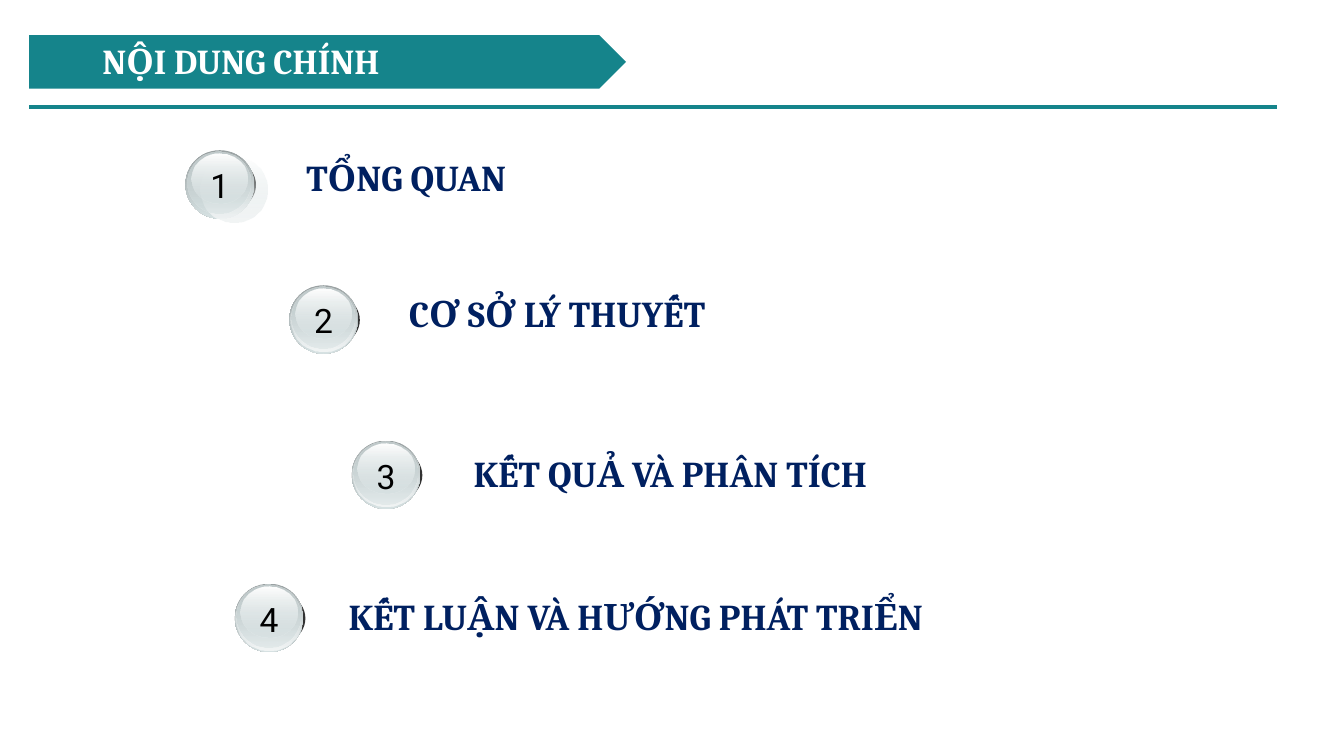
from dataclasses import dataclass

from lxml import etree
from pptx import Presentation
from pptx.dml.color import RGBColor
from pptx.enum.shapes import MSO_CONNECTOR, MSO_SHAPE
from pptx.enum.text import MSO_ANCHOR, MSO_AUTO_SIZE, PP_ALIGN
from pptx.oxml.ns import qn
from pptx.shapes.base import BaseShape
from pptx.shapes.group import GroupShape
from pptx.slide import Slide
from pptx.text.text import TextFrame
from pptx.util import Inches, Length, Pt

ELLIPSE = MSO_SHAPE.OVAL
PENTAGON = MSO_SHAPE.PENTAGON
STRAIGHT = MSO_CONNECTOR.STRAIGHT
LEFT, CENTER = PP_ALIGN.LEFT, PP_ALIGN.CENTER
TOP = MSO_ANCHOR.TOP
NO_AUTO_SIZE = MSO_AUTO_SIZE.NONE

TITLE_ONLY = 5
CELL = Inches(0.1)  # side of one square of the layout grid
MARGIN = 2.9
COLORS = {
    "teal": "15848B",
    "navy": "002060",
    "white": "FFFFFF",
    "black": "000000",
    "rim": "333333",
    "steel": "99A1A2",
    "silver": "C1CBCC",
    "mist": "D6E1E2",
    "pearl": "F2F5F5",
}


@dataclass(frozen=True)
class Stop:
    color: str
    opacity: int = 100


@dataclass(frozen=True)
class Layer:
    """One ellipse of a badge, in grid cells from the badge's corner."""
    left: float
    top: float
    width: float
    height: float
    stops: tuple[Stop, ...]
    is_veil: bool = False


@dataclass(frozen=True)
class Topic:
    """One agenda entry; positions are grid columns and rows."""
    number: int
    text: str
    column: float
    row: float
    label_column: float
    label_row: float
    label_width: float
    veil_shift: tuple[float, float] = (0, 0)


LAYERS = (
    Layer(0, 0.6, 7, 5.7, (Stop("rim"),)),
    Layer(0, 0, 6.8, 6.8, (Stop("steel"), Stop("mist"))),
    Layer(0.1, 0, 6.6, 6.6, (Stop("mist", 0), Stop("pearl")), is_veil=True),
    Layer(0.2, 0.1, 6.3, 6.2, (Stop("silver"), Stop("mist", 48))),
    Layer(0.6, 0.3, 5.6, 5, (Stop("white"), Stop("mist", 38))),
)
TOPICS = (
    Topic(2, "CƠ SỞ LÝ THUYẾT", 28.7, 28.3, 39.6, 28.4, 92.3),
    Topic(4, "KẾT LUẬN VÀ HƯỚNG PHÁT TRIỂN", 23.3, 57.9, 33.6, 58.5, 80.7),
    Topic(1, "TỔNG QUAN", 18.4, 14.9, 29.4, 14.9, 95.1, veil_shift=(1.4, 0.6)),
    Topic(3, "KẾT QUẢ VÀ PHÂN TÍCH", 34.9, 43.7, 46, 44.3, 80.7),
)


def cells(*counts: float) -> list[Length]:
    return [Length(round(count * CELL)) for count in counts]


def rgb(name: str) -> RGBColor:
    return RGBColor.from_string(COLORS[name])


def write(frame: TextFrame, text: str, *, size: float, color: str,
          font: str = "Cambria", bold: bool = True,
          align: PP_ALIGN = LEFT, wrap: bool = True) -> None:
    frame.auto_size = NO_AUTO_SIZE
    frame.word_wrap = wrap
    frame.vertical_anchor = TOP
    para = frame.paragraphs[0]
    para.alignment = align
    para.space_before = Pt(0)
    span = para.add_run()
    span.text = text
    span.font.name = font
    span.font.size = Pt(size)
    span.font.bold = bold
    span.font.color.rgb = rgb(color)


def paint(shape: BaseShape, stops: tuple[Stop, ...]) -> None:
    """Fill with one colour, or with a gradient from top to bottom."""
    shape.shadow.inherit = False
    shape.line.fill.background()
    if len(stops) == 1:
        shape.fill.solid()
        shape.fill.fore_color.rgb = rgb(stops[0].color)
        return
    shape.fill.gradient()
    shape.fill.gradient_angle = 270
    for place, (target, stop) in enumerate(zip(shape.fill.gradient_stops, stops)):
        target.position = place
        target.color.rgb = rgb(stop.color)
    tints = shape.element.spPr.iter(qn("a:srgbClr"))
    for tint, stop in zip(tints, stops):
        if stop.opacity < 100:
            alpha = etree.SubElement(tint, qn("a:alpha"))
            alpha.set("val", str(stop.opacity * 1000))


def draw_badge(group: GroupShape, topic: Topic) -> None:
    for layer in LAYERS:
        shift_x, shift_y = topic.veil_shift if layer.is_veil else (0, 0)
        ellipse = group.shapes.add_shape(ELLIPSE, *cells(
            topic.column + layer.left + shift_x, topic.row + layer.top + shift_y,
            layer.width, layer.height))
        paint(ellipse, layer.stops)
    box = group.shapes.add_textbox(*cells(topic.column + 1.4, topic.row + 1, 4, 5.1))
    write(box.text_frame, str(topic.number), size=24, color="black",
          font="Roboto", bold=False, align=CENTER, wrap=False)


def draw_topic(page: Slide, topic: Topic) -> None:
    group = page.shapes.add_group_shape()
    draw_badge(group, topic)
    label = group.shapes.add_textbox(*cells(
        topic.label_column, topic.label_row, topic.label_width, 5.4))
    write(label.text_frame, topic.text, size=26, color="navy")


def draw_header(page: Slide) -> None:
    banner = page.shapes.add_shape(PENTAGON, *cells(MARGIN, 3.5, 59.2, 5.3))
    paint(banner, (Stop("teal"),))
    title = page.shapes.title
    title.left, title.top, title.width, title.height = cells(MARGIN, 3.4, 42, 5.2)
    write(title.text_frame, "NỘI DUNG CHÍNH", size=25, color="white", align=CENTER)
    title.element.addprevious(banner.element)

    rule = page.shapes.add_connector(STRAIGHT, *cells(MARGIN, 10.6, 126.7, 10.6))
    rule.line.color.rgb = rgb("teal")
    rule.line.width = Pt(3)
    etree.SubElement(rule.element.spPr, qn("a:effectLst"))


def main() -> None:
    deck = Presentation()
    deck.slide_width, deck.slide_height = cells(133.33, 75)
    page = deck.slides.add_slide(deck.slide_layouts[TITLE_ONLY])
    draw_header(page)
    for topic in TOPICS:
        draw_topic(page, topic)
    deck.save("out.pptx")


if __name__ == "__main__":
    main()
